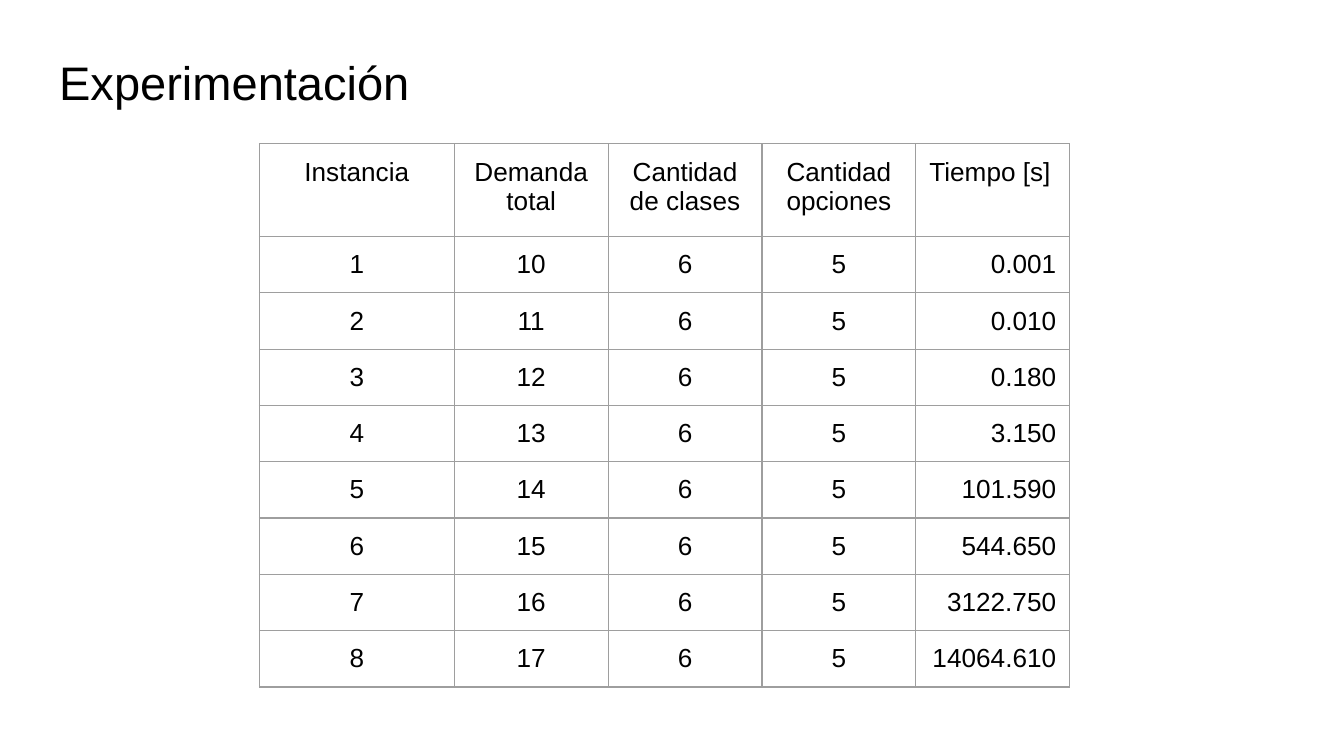
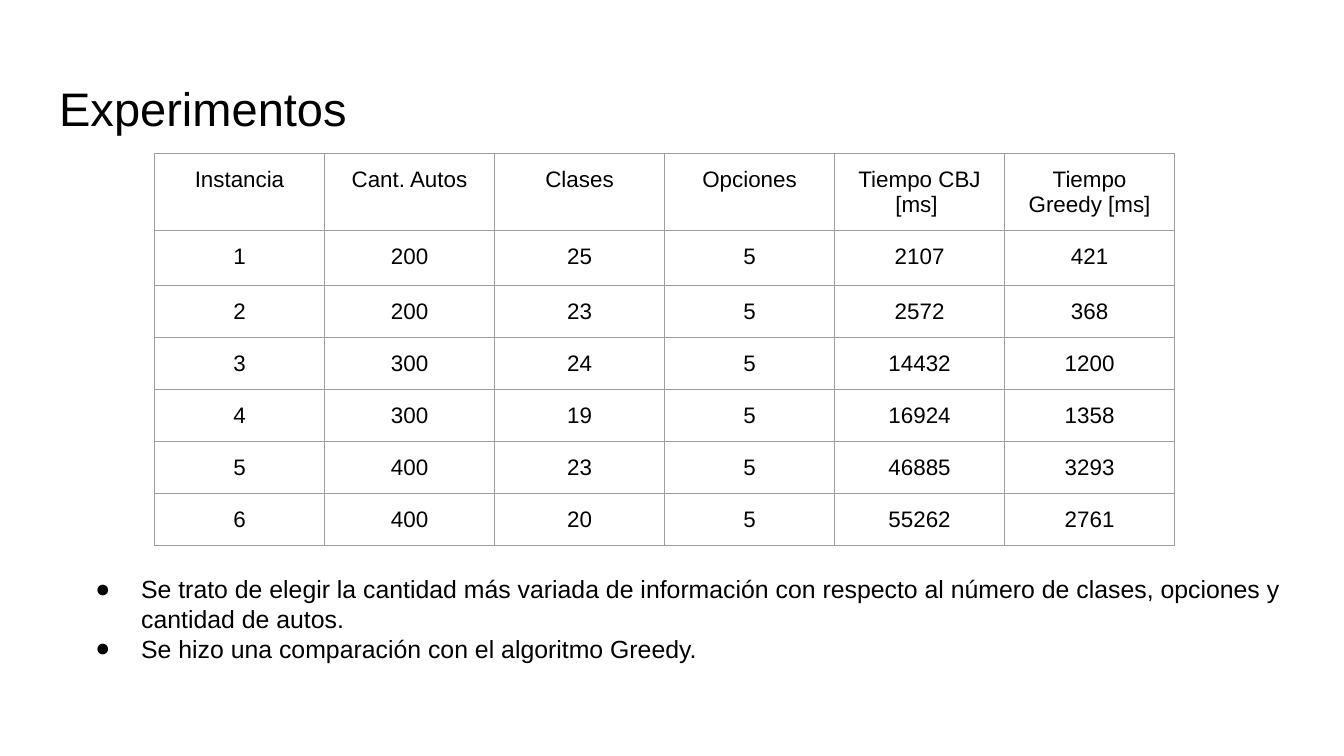
from lxml.etree import SubElement
from pptx import Presentation
from pptx.dml.color import RGBColor
from pptx.enum.text import MSO_ANCHOR, MSO_AUTO_SIZE, PP_ALIGN
from pptx.oxml.ns import qn
from pptx.util import Inches, Pt

WIDTH = 10
HEIGHT = WIDTH * 9 / 16
FONT, INK, GRID = "Arial", "000000", "9E9E9E"
TITLE_SIZE, BODY_SIZE = 25.2, 13.3
FRAME = {
    "margin_left": Inches(0.1), "margin_right": Inches(0.1),
    "margin_top": Inches(0.1), "margin_bottom": Inches(0.1),
    "vertical_anchor": MSO_ANCHOR.TOP, "word_wrap": True,
    "auto_size": MSO_AUTO_SIZE.NONE,
}
CELL = {k: v for k, v in FRAME.items() if k.startswith(("margin", "vertical"))}

INSTANCES = [
    ["Instancia", "Demanda total", "Cantidad de clases", "Cantidad opciones", "Tiempo [s]"],
    *([str(i), str(i + 9), "6", "5", t] for i, t in enumerate(
        ["0.001", "0.010", "0.180", "3.150", "101.590", "544.650", "3122.750", "14064.610"], 1)),
]
COMPARISON = [
    ["Instancia", "Cant. Autos", "Clases", "Opciones", "Tiempo CBJ [ms] ", "Tiempo Greedy [ms]"],
    ["1", "200", "25", "5", "2107", "421"],
    ["2", "200", "23", "5", "2572", "368"],
    ["3", "300", "24", "5", "14432", "1200"],
    ["4", "300", "19", "5", "16924", "1358"],
    ["5", "400", "23", "5", "46885", "3293"],
    ["6", "400", "20", "5", "55262", "2761"],
]
NOTES = [
    "Se trato de elegir la cantidad más variada de información con respecto "
    "al número de clases, opciones y cantidad de autos.",
    "Se hizo una comparación con el algoritmo Greedy.",
]


def rgb(value):
    return RGBColor.from_string(value)


def apply(target, values):
    for name, value in values.items():
        setattr(target, name, value)


def write(p, text, size, align=PP_ALIGN.LEFT):
    apply(p, {"alignment": align, "space_before": Pt(0)})
    r = p.add_run()
    r.text = text
    apply(r.font, {"name": FONT, "size": Pt(size), "bold": False})
    r.font.color.rgb = rgb(INK)


def fill_placeholder(sp, left, top, lines, size):
    apply(sp, {"left": Inches(left), "top": Inches(top),
               "width": Inches(9.32), "height": Inches(0.63)})
    tf = sp.text_frame
    apply(tf, FRAME)
    for i, line in enumerate(lines):
        write(tf.add_paragraph() if i else tf.paragraphs[0], line, size)
    return tf


def add_bullet(p):
    pPr = p._p.get_or_add_pPr()
    pPr.set("marL", str(Inches(0.5)))
    pPr.set("indent", str(Inches(-0.34)))
    SubElement(SubElement(pPr, qn("a:buClr")), qn("a:srgbClr"), val=INK)
    SubElement(pPr, qn("a:buFont"), typeface=FONT)
    SubElement(pPr, qn("a:buChar"), char="●")


def add_borders(cell):
    tcPr = cell._tc.get_or_add_tcPr()
    for side in ("lnL", "lnR", "lnT", "lnB"):
        ln = SubElement(tcPr, qn(f"a:{side}"), w=str(Pt(0.75)))
        SubElement(SubElement(ln, qn("a:solidFill")), qn("a:srgbClr"), val=GRID)


def add_grid(s, left, top, cols, rows, data, size, last_aligns=None):
    frame = s.shapes.add_table(len(rows), len(cols), Inches(left), Inches(top),
                               Inches(sum(cols)), Inches(sum(rows)))
    table = frame.table
    apply(table, {"first_row": False, "horz_banding": False})
    for col, width in zip(table.columns, cols):
        col.width = Inches(width)
    for row, height in zip(table.rows, rows):
        row.height = Inches(height)
    for i, line in enumerate(data):
        for j, text in enumerate(line):
            cell = table.cell(i, j)
            apply(cell, CELL)
            add_borders(cell)
            cell.fill.background()
            align = PP_ALIGN.CENTER
            if last_aligns and j == len(cols) - 1:
                align = last_aligns[min(i, 1)]
            write(cell.text_frame.paragraphs[0], text, size, align)


def add_slide(prs, layout, title, top):
    s = prs.slides.add_slide(prs.slide_layouts.get_by_name(layout))
    fill_placeholder(s.shapes.title, 0.34, top, [title], TITLE_SIZE)
    return s


def main():
    prs = Presentation()
    apply(prs, {"slide_width": Inches(WIDTH), "slide_height": Inches(HEIGHT)})

    s = add_slide(prs, "Title Only", "Experimentación", 0.3)
    add_grid(s, 1.93, 1.07, [1.45] + [4.58 / 4] * 4, [0.69] + [3.34 / 8] * 8,
             INSTANCES, 14, (PP_ALIGN.LEFT, PP_ALIGN.RIGHT))

    s = add_slide(prs, "Title and Content", "Experimentos", 0.49)
    add_grid(s, 1.15, 1.14, [7.59 / 6] * 6, [0.52, 0.41] + [0.36] * 5, COMPARISON, 12)
    tf = fill_placeholder(s.placeholders[1], 0.45, 4.17, NOTES, BODY_SIZE)
    for p in tf.paragraphs:
        add_bullet(p)

    prs.save("out.pptx")


if __name__ == "__main__":
    main()
